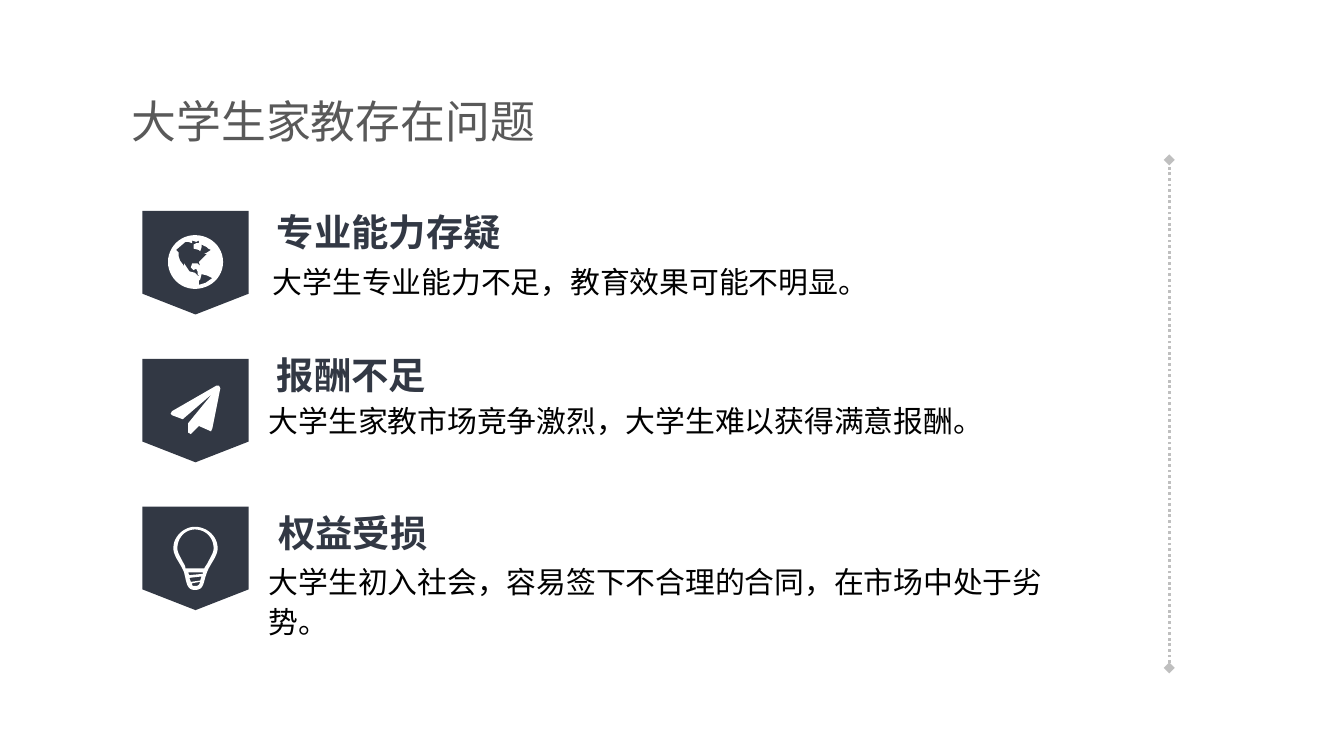
import dataclasses
import lxml.etree
import pptx
import pptx.dml.color
import pptx.enum.dml
import pptx.enum.shapes
import pptx.enum.text
import pptx.oxml.ns
import pptx.util


@dataclasses.dataclass(frozen=True)
class Theme:
    navy: str = "323844"
    grey: str = "595959"
    rule: str = "BFBFBF"
    white: str = "FFFFFF"
    black: str = "000000"
    title_font: str = "Arial"
    font: str = "Noto Sans CJK SC"
    title_size: int = 24
    heading_size: int = 20
    body_size: int = 16


theme = Theme()
rgb = pptx.dml.color.RGBColor.from_string
qn = pptx.oxml.ns.qn
deck = pptx.Presentation()
deck.slide_width = pptx.util.Inches(10)
deck.slide_height = deck.slide_width * 9 // 16
slide = deck.slides.add_slide(deck.slide_layouts[5])
shapes = slide.shapes
cell = deck.slide_width / 100


def write(holder, words, size, color, font=theme.font, bold=False, wrap=True,
          anchor=pptx.enum.text.MSO_ANCHOR.MIDDLE, spacing=1.0, insets=(1.6, 0, 0, 0)):
    frame = holder.text_frame
    frame.word_wrap = wrap
    frame.auto_size = pptx.enum.text.MSO_AUTO_SIZE.NONE
    frame.vertical_anchor = anchor
    for side, inset in zip(("left", "top", "right", "bottom"), insets):
        setattr(frame, "margin_" + side, int(inset * cell))
    paragraph = frame.paragraphs[0]
    paragraph.alignment = pptx.enum.text.PP_ALIGN.LEFT
    paragraph.line_spacing = spacing
    run = paragraph.add_run()
    run.text = words
    run.font.size = pptx.util.Pt(size)
    run.font.bold = bold
    run.font.name = font
    run.font.color.rgb = rgb(color)
    east_asian = lxml.etree.SubElement(run.font._element, qn("a:ea"))
    east_asian.set("typeface", theme.font)


def draw_icon(contours, left, top):
    builder = None
    for start, *segments in contours:
        points = [start]
        for segment in segments:
            if len(segment) == 2:
                points.append(segment)
                continue
            x0, y0 = points[-1]
            x1, y1, x2, y2, x3, y3 = segment
            for step in range(1, 13):
                t = step / 12
                u = 1 - t
                points.append((u**3 * x0 + 3 * u * u * t * x1 + 3 * u * t * t * x2 + t**3 * x3,
                               u**3 * y0 + 3 * u * u * t * y1 + 3 * u * t * t * y2 + t**3 * y3))
        placed = [(round((left + x) * cell), round((top + y) * cell)) for x, y in points]
        if builder is None:
            builder = shapes.build_freeform(*placed[0], scale=1.0)
        else:
            builder.move_to(*placed[0])
        builder.add_line_segments(placed[1:], close=True)
    icon = builder.convert_to_shape()
    icon.shadow.inherit = False
    icon.fill.solid()
    icon.fill.fore_color.rgb = rgb(theme.white)
    icon.line.fill.background()


globe = [
    [(6, 3.8), (6, 4.9, 5.1, 5.8, 3.9, 5.8), (2.8, 5.8, 1.9, 4.9, 1.9, 3.8),
     (1.9, 2.7, 2.8, 1.8, 3.9, 1.8), (5.1, 1.8, 6, 2.7, 6, 3.8)],
    [(4.6, 3.2), (4.8, 3.1), (5.1, 2.9), (4.9, 2.8), (4.8, 2.7), (4.6, 2.6), (4.4, 2.5),
     (4.4, 2.7), (4.3, 3), (4.2, 2.9), (3.8, 2.8), (3.8, 2.5), (4, 2.4), (4.2, 2.4),
     (4.2, 2.2), (4, 2.3), (3.7, 2.2), (3.7, 2.4), (3.4, 2.3), (3.2, 2.3), (2.5, 2.9),
     (2.7, 3.1), (2.7, 3.4), (2.8, 3.7), (3.1, 4.1), (3.1, 3.9), (3.3, 4.2), (3.5, 4.5),
     (3.9, 4.6), (4.1, 4.8), (4.3, 4.9), (4.1, 4.7), (4.1, 4.5), (4, 4.3), (3.8, 4.4),
     (3.6, 4.2), (3.7, 3.9), (4.1, 3.9), (4.3, 4.1), (4.2, 3.8), (4.4, 3.6), (4.6, 3.4),
     (4.8, 3.2)],
    [(5.2, 5), (4.8, 4.8), (4.4, 4.7), (4.3, 5.1), (4.2, 5.2), (4.2, 5.5), (4.7, 5.35)],
]
paper_plane = [
    [(5.8, 2.2), (5.2, 5.2), (5.1, 5.4), (4.2, 5), (3.6, 5.6), (3.4, 5.5), (3.4, 4.8),
     (5.2, 2.6), (3, 4.5), (2.2, 4.2), (2.1, 4.1), (2.2, 3.9), (5.5, 2), (5.7, 2)],
]
light_bulb = [
    [(3.9, 1.5), (3.1, 1.5, 2.3, 2.2, 2.3, 3.1), (2.3, 3.7, 2.9, 4.3, 3.1, 4.9),
     (3.3, 5.7, 3.3, 6.2, 3.9, 6.2), (4.6, 6.2, 4.5, 5.7, 4.8, 4.9),
     (5, 4.3, 5.6, 3.7, 5.6, 3.1), (5.6, 2.2, 4.8, 1.5, 3.9, 1.5)],
    [(4.6, 4.6), (3.2, 4.6), (3.2, 4.4, 3.1, 4.3, 3, 4.1), (2.8, 3.7, 2.6, 3.4, 2.6, 3.1),
     (2.6, 2.3, 3.2, 1.7, 3.9, 1.7), (4.7, 1.7, 5.3, 2.3, 5.3, 3.1),
     (5.3, 3.4, 5.1, 3.7, 4.9, 4.1), (4.8, 4.3, 4.7, 4.4, 4.6, 4.6)],
    [(3.5, 5.1), (3.4, 4.9), (4.5, 4.9), (4.5, 5)],
    [(4.3, 5.5), (3.6, 5.6), (3.5, 5.3), (4.4, 5.2)],
    [(3.9, 5.9), (3.7, 5.9, 3.7, 5.9, 3.7, 5.7), (4.3, 5.6), (4.2, 5.9, 4.1, 5.9, 3.9, 5.9)],
]

title = shapes.title
title.left, title.top, title.width, title.height = [
    int(n * cell) for n in (9.8, 6.9, 41.2, 4.2)]
write(title, "大学生家教存在问题", theme.title_size, theme.grey, font=theme.title_font,
      insets=(0, 0.5, 0, 0.5))

problems = [
    (globe, "专业能力存疑", (19, 14.9, 24.1, 4.6),
     "大学生专业能力不足，教育效果可能不明显。", (18.7, 19.1, 68.9, 5.3), 1.2),
    (paper_plane, "报酬不足", (19, 25.4, 22.3, 5),
     "大学生家教市场竞争激烈，大学生难以获得满意报酬。", (18.4, 29.4, 63.8, 5.9), 1.2),
    (light_bulb, "权益受损", (19.1, 37.6, 20.9, 4),
     "大学生初入社会，容易签下不合理的合同，在市场中处于劣势。", (18.4, 41.7, 59.6, 6), 1.1),
]
badge_left, first_badge_top, badge_pitch = 10.6, 15.7, 11
for row, (icon, heading, heading_box, detail, detail_box, spacing) in enumerate(problems):
    badge_top = first_badge_top + row * badge_pitch
    badge = shapes.add_shape(
        pptx.enum.shapes.MSO_SHAPE.FLOWCHART_OFFPAGE_CONNECTOR,
        *[int(n * cell) for n in (badge_left, badge_top, 7.9, 7.7)])
    badge.shadow.inherit = False
    badge.fill.solid()
    badge.fill.fore_color.rgb = rgb(theme.navy)
    badge.line.fill.background()
    draw_icon(icon, badge_left, badge_top)
    write(shapes.add_textbox(*[int(n * cell) for n in heading_box]), heading,
          theme.heading_size, theme.navy, bold=True, wrap=False)
    write(shapes.add_textbox(*[int(n * cell) for n in detail_box]), detail,
          theme.body_size, theme.black, spacing=spacing,
          anchor=pptx.enum.text.MSO_ANCHOR.TOP)

side_rule = shapes.add_connector(
    pptx.enum.shapes.MSO_CONNECTOR.STRAIGHT,
    *[int(n * cell) for n in (87, 49.7, 87, 11.9)])
side_rule.line.color.rgb = rgb(theme.rule)
side_rule.line.width = pptx.util.Pt(1.5)
side_rule.line.dash_style = pptx.enum.dml.MSO_LINE.ROUND_DOT
for end in ("a:headEnd", "a:tailEnd"):
    lxml.etree.SubElement(side_rule.line._ln, qn(end)).set("type", "diamond")
lxml.etree.SubElement(side_rule._element.spPr, qn("a:effectLst"))

deck.save("out.pptx")
